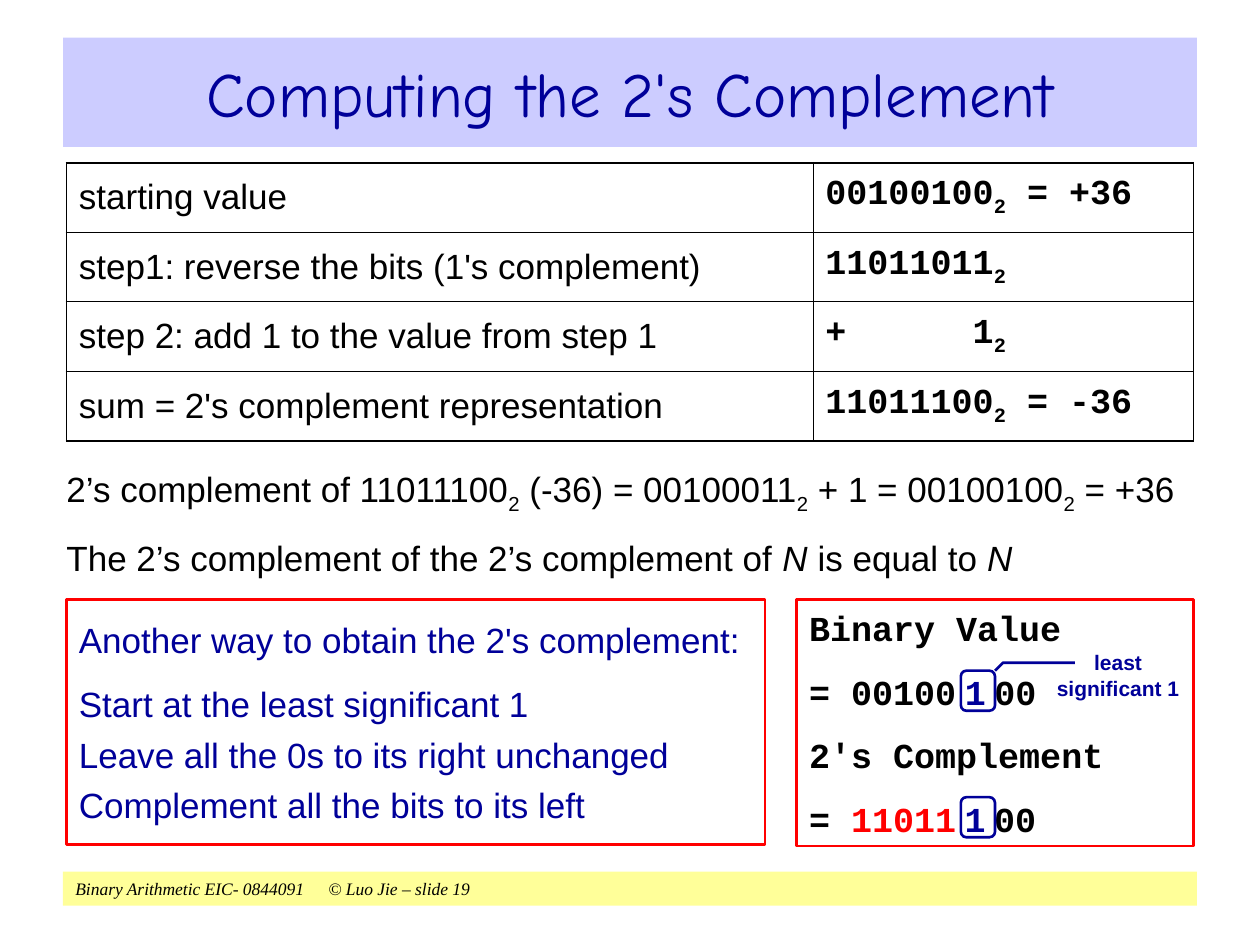
"""Build the slide on computing the 2's complement of a binary number."""
from dataclasses import dataclass, replace

import pptx
import pptx.dml.color
import pptx.enum.shapes
import pptx.enum.text
import pptx.oxml
import pptx.util
from pptx.util import Cm

RGB = pptx.dml.color.RGBColor
BLACK = RGB(0x00, 0x00, 0x00)
NAVY = RGB(0x00, 0x00, 0x99)
RED = RGB(0xFF, 0x00, 0x00)
LAVENDER = RGB(0xCC, 0xCC, 0xFF)
YELLOW = RGB(0xFF, 0xFF, 0x99)
ALIGN = pptx.enum.text.PP_ALIGN
ANCHOR = pptx.enum.text.MSO_ANCHOR
SHAPE = pptx.enum.shapes.MSO_SHAPE
OUTER, INNER = 1.08, 0.45
WIDE_GAP, NARROW_GAP = 12.5, 5


@dataclass(frozen=True)
class Span:
    text: str
    color: RGB = BLACK
    font: str = "Arial"
    size: float = 20
    bold: bool = False
    italic: bool = False
    lowered: bool = False


@dataclass(frozen=True)
class Para:
    spans: tuple
    before: float = 0
    align: ALIGN = ALIGN.LEFT


@dataclass(frozen=True)
class Box:
    left: float
    top: float
    width: float
    height: float

    def lengths(self) -> tuple:
        return Cm(self.left), Cm(self.top), Cm(self.width), Cm(self.height)


def code(text: str, color: RGB = BLACK) -> Span:
    return Span(text, color, "Courier New", bold=True)


def binary(digits: Span) -> tuple:
    return digits, replace(digits, text="2", lowered=True)


def marked_bits(left_bits: str, color: RGB) -> tuple:
    gap = replace(code(" "), size=8)
    return code("= "), code(left_bits, color), gap, code("1", NAVY), gap, code("00")


def write(frame, paras: list, inset_x: float = 0.25, inset_y: float = 0.13,
          anchor: ANCHOR = ANCHOR.TOP) -> None:
    frame.word_wrap = True
    frame.auto_size = pptx.enum.text.MSO_AUTO_SIZE.NONE
    frame.vertical_anchor = anchor
    frame.margin_left = frame.margin_right = Cm(inset_x)
    frame.margin_top = frame.margin_bottom = Cm(inset_y)
    fill_paragraphs(frame, paras)


def fill_paragraphs(frame, paras: list) -> None:
    for index, para in enumerate(paras):
        target = frame.add_paragraph() if index else frame.paragraphs[0]
        target.alignment = para.align
        target.space_before = pptx.util.Pt(para.before)
        for span in para.spans:
            run = target.add_run()
            run.text = span.text
            run.font.name = span.font
            run.font.size = pptx.util.Pt(span.size)
            run.font.bold = span.bold
            run.font.italic = span.italic
            run.font.color.rgb = span.color
            if span.lowered:
                run.font._element.set("baseline", "-25000")


def outline(shape, color: RGB) -> None:
    shape.shadow.inherit = False
    shape.fill.background()
    shape.line.color.rgb = color
    shape.line.width = pptx.util.Pt(1.5)


def add_outlined(slide, kind: SHAPE, box: Box, color: RGB):
    shape = slide.shapes.add_shape(kind, *box.lengths())
    outline(shape, color)
    return shape


def set_border(cell, side: str, width: float) -> None:
    properties = cell._tc.get_or_add_tcPr()
    properties.append(pptx.oxml.parse_xml(
        f'<a:ln{side} xmlns:a="http://schemas.openxmlformats.org/drawingml/2006/main" '
        f'w="{int(width * 12700)}"><a:solidFill><a:srgbClr val="{BLACK}"/></a:solidFill></a:ln{side}>'))


def add_steps(slide, box: Box, widths: tuple, steps: list) -> None:
    frame = slide.shapes.add_table(len(steps), len(widths), *box.lengths())
    table = frame.table
    table.first_row = table.horz_banding = False
    for column, width in zip(table.columns, widths):
        column.width = Cm(width)
    for y, step in enumerate(steps):
        for x, spans in enumerate(step):
            cell = table.cell(y, x)
            edges = {"L": x == 0, "R": x == len(widths) - 1,
                     "T": y == 0, "B": y == len(steps) - 1}
            for side, is_outer in edges.items():
                set_border(cell, side, OUTER if is_outer else INNER)
            cell.fill.background()
            cell.vertical_anchor = ANCHOR.MIDDLE
            cell.margin_left = cell.margin_right = Cm(0.25)
            cell.margin_top = cell.margin_bottom = Cm(0.13)
            fill_paragraphs(cell.text_frame, [Para(spans)])


def add_callout(slide, points: list) -> None:
    start, *rest = [(Cm(x), Cm(y)) for x, y in points]
    builder = slide.shapes.build_freeform(*start)
    builder.add_line_segments(rest, close=False)
    outline(builder.convert_to_shape(), NAVY)


def main() -> None:
    deck = pptx.Presentation()
    deck.slide_width, deck.slide_height = Cm(25.4), Cm(19.05)
    slide = deck.slides.add_slide(deck.slide_layouts[5])

    title = slide.shapes.title
    title.left, title.top, title.width, title.height = Box(1.27, 0.76, 22.86, 2.2).lengths()
    title.fill.solid()
    title.fill.fore_color.rgb = LAVENDER
    heading = Span("Computing the 2's Complement", NAVY, "Comic Neue", 36)
    write(title.text_frame, [Para((heading,), align=ALIGN.CENTER)], anchor=ANCHOR.MIDDLE)

    footer = slide.shapes.add_shape(SHAPE.RECTANGLE, *Box(1.27, 17.57, 22.86, 0.69).lengths())
    footer.shadow.inherit = False
    footer.fill.solid()
    footer.fill.fore_color.rgb = YELLOW
    footer.line.fill.background()
    credit = Span("Binary Arithmetic EIC- 0844091\t© Luo Jie – slide 19",
                  font="Times New Roman", size=10, italic=True)
    write(footer.text_frame, [Para((credit,))], anchor=ANCHOR.MIDDLE)
    credit_properties = footer.text_frame.paragraphs[0]._p.get_or_add_pPr()
    credit_properties.append(pptx.oxml.parse_xml(
        '<a:tabLst xmlns:a="http://schemas.openxmlformats.org/drawingml/2006/main">'
        f'<a:tab pos="{Cm(5.1)}" algn="l"/></a:tabLst>'))

    add_steps(slide, Box(1.34, 3.28, 22.72, 5.61), (15.05, 7.67), [
        ((Span("starting value"),), (*binary(code("00100100")), code(" = +36"))),
        ((Span("step1: reverse the bits (1's complement)"),), binary(code("11011011"))),
        ((Span("step 2: add 1 to the value from step 1"),), binary(code("+      1"))),
        ((Span("sum = 2's complement representation"),),
         (*binary(code("11011100")), code(" = -36"))),
    ])

    identities = slide.shapes.add_textbox(*Box(1.34, 9.04, 22.72, 3.02).lengths())
    number = Span("N", italic=True)
    write(identities.text_frame, [
        Para((*binary(Span("2’s complement of 11011100")),
              *binary(Span(" (-36) = 00100011")),
              *binary(Span(" + 1 = 00100100")), Span(" = +36")), WIDE_GAP),
        Para((Span("The 2’s complement of the 2’s complement of "), number,
              Span(" is equal to "), number), WIDE_GAP),
    ], 0, 0.38)

    shortcut = add_outlined(slide, SHAPE.RECTANGLE, Box(1.34, 12.09, 14.08, 4.94), RED)
    write(shortcut.text_frame, [Para((Span(text, NAVY),), before) for text, before in (
        ("Another way to obtain the 2's complement:", WIDE_GAP),
        ("Start at the least significant 1", WIDE_GAP),
        ("Leave all the 0s to its right unchanged", NARROW_GAP),
        ("Complement all the bits to its left", NARROW_GAP))], 0.25, 0.38)

    example = add_outlined(slide, SHAPE.RECTANGLE, Box(16.06, 12.09, 8, 4.97), RED)
    write(example.text_frame, [Para(spans, WIDE_GAP) for spans in (
        (code("Binary Value"),), marked_bits("00100", BLACK),
        (code("2's Complement"),), marked_bits("11011", RED))])

    for top in (13.52, 16.07):
        add_outlined(slide, SHAPE.ROUNDED_RECTANGLE, Box(19.37, top, 0.69, 0.81), NAVY)
    add_callout(slide, [(21.67, 13.36), (20.22, 13.36), (20.06, 13.52)])
    bit_label = slide.shapes.add_textbox(*Box(21.18, 13.05, 2.72, 1.12).lengths())
    write(bit_label.text_frame, [
        Para((Span(text, NAVY, size=12, bold=True),), align=ALIGN.CENTER)
        for text in ("least", "significant 1")], 0, 0, ANCHOR.MIDDLE)

    deck.save("out.pptx")


if __name__ == "__main__":
    main()
